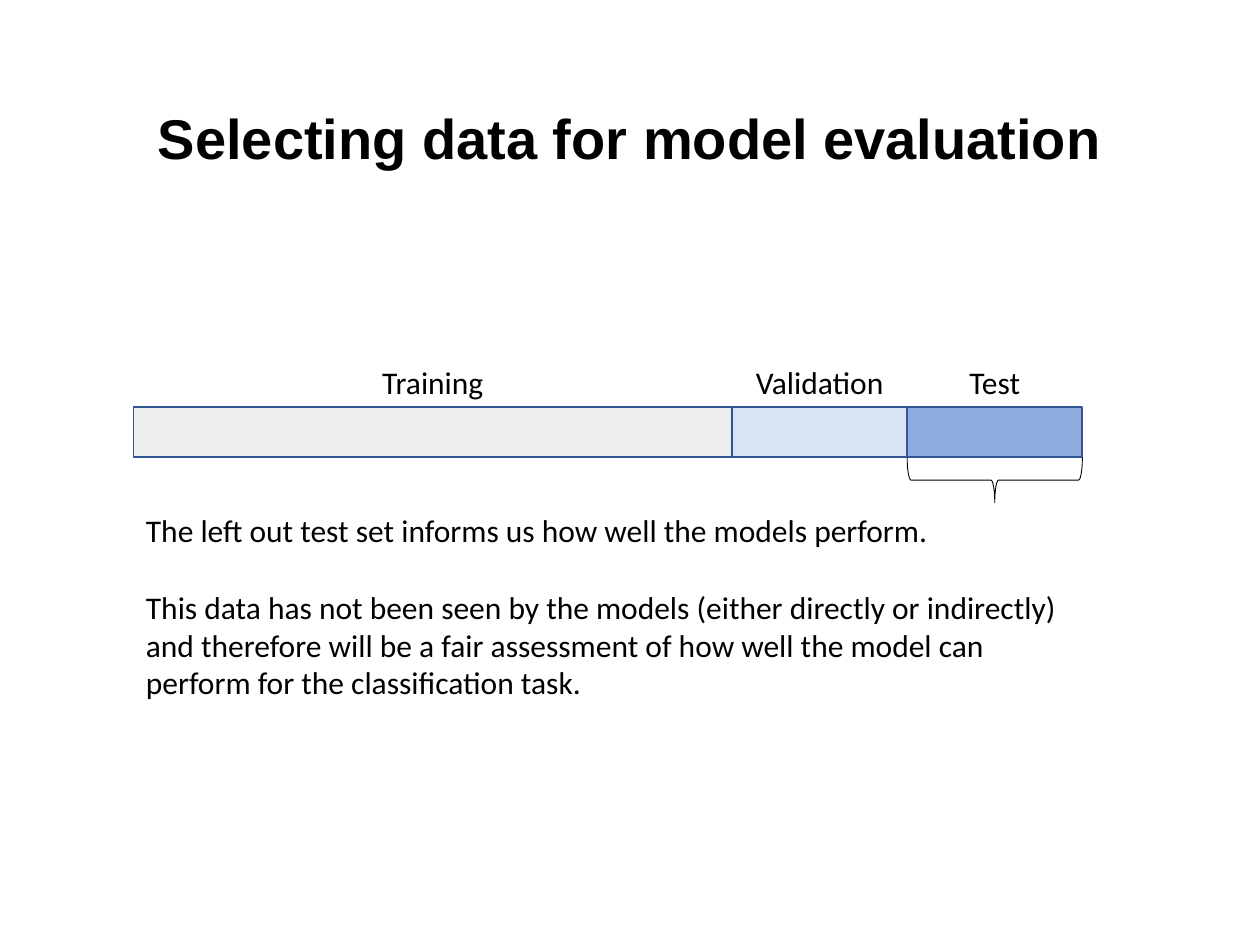
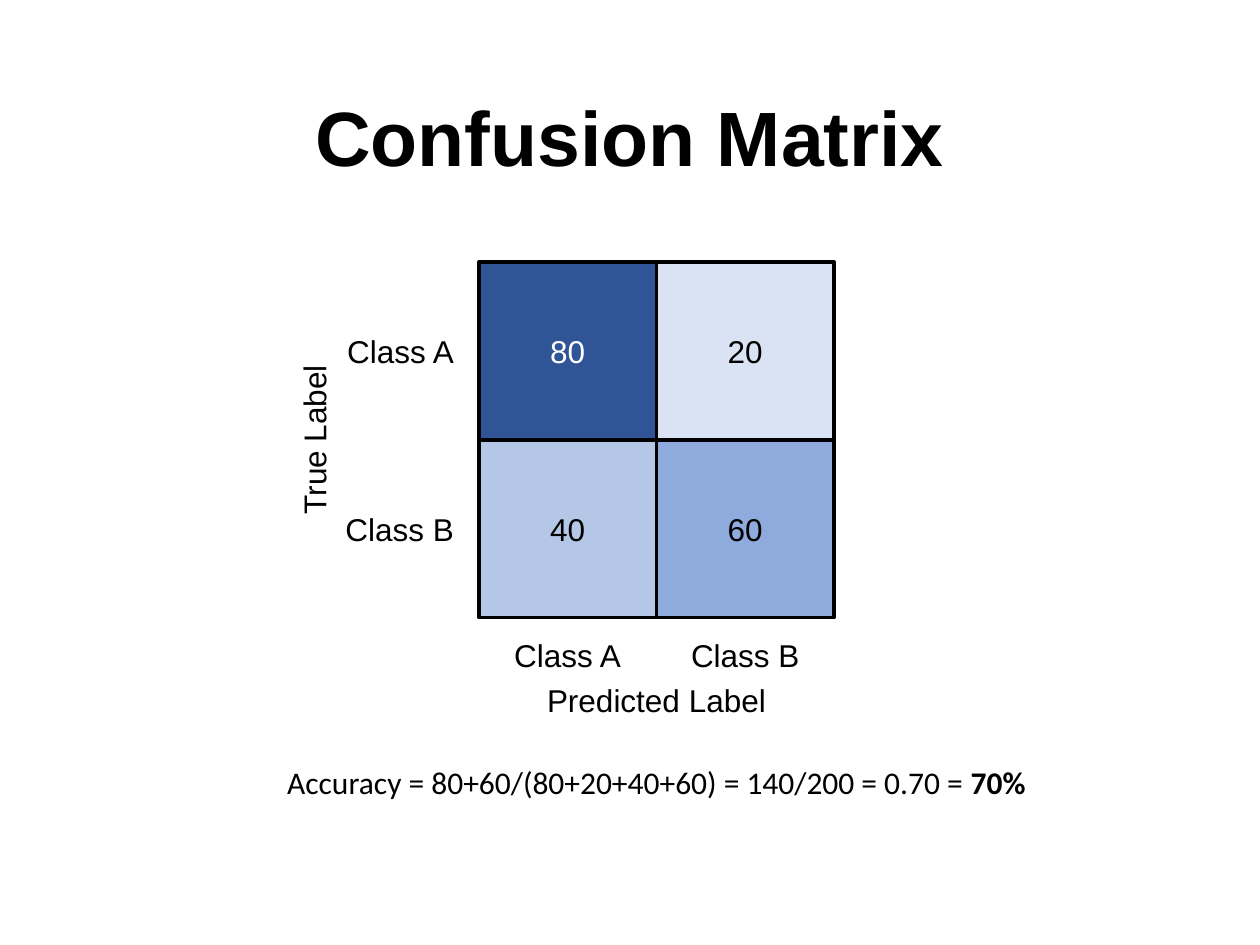
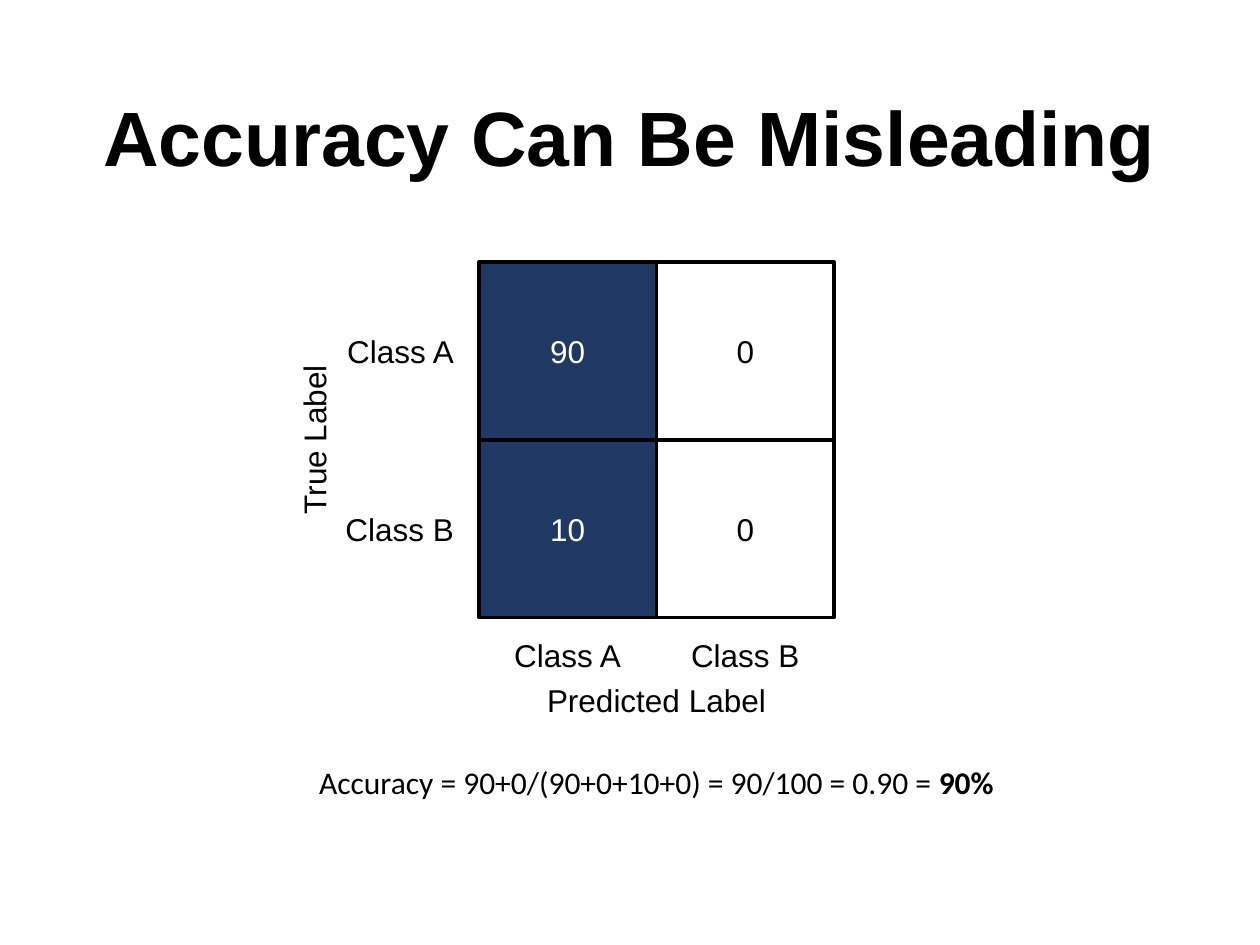
from pptx import Presentation
from pptx.dml.color import RGBColor
from pptx.enum.shapes import MSO_SHAPE
from pptx.enum.text import MSO_ANCHOR, MSO_AUTO_SIZE, PP_ALIGN
from pptx.util import Inches, Pt

COLORS = {
    "black": "000000",
    "white": "FFFFFF",
    "outline": "325491",
    "gray": "EDEDED",
    "pale": "DAE3F3",
    "light": "B4C7E7",
    "medium": "8FAADC",
    "strong": "2F5597",
    "navy": "203864",
}
DARK_FILLS = ("strong", "navy")
HEADING_FONT, BODY_FONT = "Arial", "Calibri"
TEXT_SIZE = 18
LINE_HEIGHT = 0.4

SPLIT_TITLE = "Selecting data for model evaluation"
SEGMENTS = [("Training", 4.75, "gray"), ("Validation", 1.39, "pale"), ("Test", 1.39, "medium")]
SPLIT_NOTES = [
    "The left out test set informs us how well the models perform.",
    "This data has not been seen by the models (either directly or indirectly) "
    "and therefore will be a fair assessment of how well the model can perform "
    "for the classification task.",
]
BAR_LEFT, BAR_TOP, BAR_HEIGHT = 1.06, 3.23, 0.4
BRACE_DEPTH = 0.36

CLASSES = ["Class A", "Class B"]
MATRICES = [
    {
        "title": "Confusion Matrix",
        "cells": [[("80", "strong"), ("20", "pale")], [("40", "light"), ("60", "medium")]],
        "formula": "Accuracy = 80+60/(80+20+40+60) = 140/200 = 0.70 = ",
        "result": "70%",
    },
    {
        "title": "Accuracy Can Be Misleading",
        "cells": [[("90", "navy"), ("0", "white")], [("10", "navy"), ("0", "white")]],
        "formula": "Accuracy = 90+0/(90+0+10+0) = 90/100 = 0.90 = ",
        "result": "90%",
    },
]
GRID_LEFT, GRID_TOP, CELL = 3.8, 2.08, 1.41


def color(name):
    return RGBColor.from_string(COLORS[name])


def style_font(font, face, size=TEXT_SIZE, ink="black", bold=False):
    font.name, font.size, font.bold = face, Pt(size), bold
    font.color.rgb = color(ink)


def add_page(deck, title, size=44):
    page = deck.slides.add_slide(deck.slide_layouts[5])
    heading = page.shapes.title
    heading.left, heading.top = Inches(0.69), Inches(0.4)
    heading.width, heading.height = Inches(8.62), Inches(1.45)
    frame = heading.text_frame
    frame.text = title
    frame.auto_size = MSO_AUTO_SIZE.NONE
    frame.vertical_anchor = MSO_ANCHOR.MIDDLE
    para = frame.paragraphs[0]
    para.alignment, para.line_spacing = PP_ALIGN.CENTER, 0.9
    style_font(para.font, HEADING_FONT, size, bold=True)
    return page


def add_text(page, lines, left, top, width, height=LINE_HEIGHT,
             face=HEADING_FONT, align=PP_ALIGN.CENTER, ink="black", gap=0):
    box = page.shapes.add_textbox(Inches(left), Inches(top), Inches(width), Inches(height))
    frame = box.text_frame
    frame.word_wrap = True
    frame.auto_size = MSO_AUTO_SIZE.SHAPE_TO_FIT_TEXT
    for index, line in enumerate(lines):
        para = frame.add_paragraph() if index else frame.paragraphs[0]
        para.text, para.alignment = line, align
        para.space_before = Pt(gap if index else 0)
        style_font(para.font, face, ink=ink)
    return box


def add_label(page, text, center_x, center_y, width, **style):
    """Add one line of text centred on a point."""
    return add_text(page, [text], center_x - width / 2, center_y - LINE_HEIGHT / 2, width, **style)


def add_outline(page, kind, left, top, width, height, line, weight, fill=None):
    shape = page.shapes.add_shape(kind, Inches(left), Inches(top), Inches(width), Inches(height))
    shape.shadow.inherit = False
    if fill:
        shape.fill.solid()
        shape.fill.fore_color.rgb = color(fill)
    else:
        shape.fill.background()
    shape.line.color.rgb = color(line)
    shape.line.width = Pt(weight)
    return shape


def add_split_page(deck):
    page = add_page(deck, SPLIT_TITLE, size=32)
    left = BAR_LEFT
    for name, width, fill in SEGMENTS:
        add_outline(page, MSO_SHAPE.RECTANGLE, left, BAR_TOP, width, BAR_HEIGHT, "outline", 1, fill)
        add_label(page, name, left + width / 2, BAR_TOP - LINE_HEIGHT / 2, 3.55, face=BODY_FONT)
        left += width
    add_text(page, SPLIT_NOTES, BAR_LEFT, 4.01, left - BAR_LEFT, 1.62,
             face=BODY_FONT, align=PP_ALIGN.LEFT, gap=22)

    # The brace is placed upright around its centre, then turned to span the test segment.
    span = SEGMENTS[-1][1]
    center_x = left - span / 2
    center_y = BAR_TOP + BAR_HEIGHT + BRACE_DEPTH / 2
    brace = add_outline(page, MSO_SHAPE.LEFT_BRACE, center_x - BRACE_DEPTH / 2,
                        center_y - span / 2, BRACE_DEPTH, span, "black", 0.5)
    brace.rotation = 270


def add_matrix_page(deck, matrix):
    page = add_page(deck, matrix["title"])
    for row, cells in enumerate(matrix["cells"]):
        for column, (count, fill) in enumerate(cells):
            left, top = GRID_LEFT + column * CELL, GRID_TOP + row * CELL
            add_outline(page, MSO_SHAPE.RECTANGLE, left, top, CELL, CELL, "black", 2, fill)
            add_label(page, count, left + CELL / 2, top + CELL / 2, 1.07,
                      ink="white" if fill in DARK_FILLS else "black")

    label_width = 1.21
    for index, name in enumerate(CLASSES):
        middle = (index + 0.5) * CELL
        add_label(page, name, GRID_LEFT - 0.1 - label_width / 2, GRID_TOP + middle,
                  label_width, align=PP_ALIGN.RIGHT)
        add_label(page, name, GRID_LEFT + middle, 5.2, label_width)

    true_label = add_label(page, "True Label", 2.49, GRID_TOP + CELL, 1.99)
    true_label.rotation = 270
    add_label(page, "Predicted Label", GRID_LEFT + CELL, 5.56, 1.99)

    accuracy = add_label(page, matrix["formula"], GRID_LEFT + CELL, 6.21, 8.2, face=BODY_FONT)
    span = accuracy.text_frame.paragraphs[0].add_run()
    span.text = matrix["result"]
    span.font.bold = True


def main():
    deck = Presentation()
    deck.slide_width, deck.slide_height = Inches(10), Inches(7.5)
    add_split_page(deck)
    for matrix in MATRICES:
        add_matrix_page(deck, matrix)
    deck.save("out.pptx")


if __name__ == "__main__":
    main()
